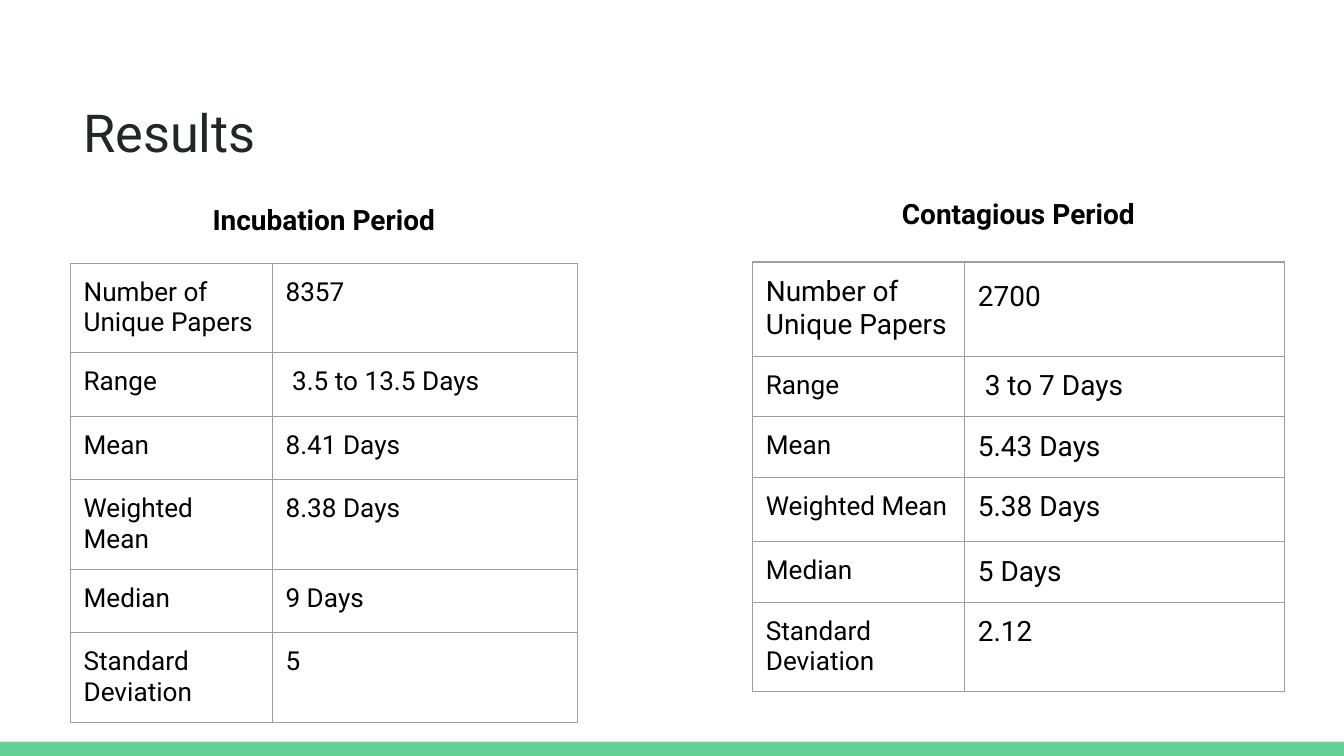
import pptx
import pptx.dml.color
import pptx.enum.shapes
import pptx.enum.text
import pptx.oxml
import pptx.oxml.ns
import pptx.util

Pt = pptx.util.Pt
RGBColor = pptx.dml.color.RGBColor
PP_ALIGN = pptx.enum.text.PP_ALIGN
MSO_ANCHOR = pptx.enum.text.MSO_ANCHOR

GREEN = RGBColor(0x63, 0xD2, 0x97)
INK = RGBColor(0x20, 0x27, 0x29)
BLACK = RGBColor(0x00, 0x00, 0x00)
GRID = RGBColor(0x9E, 0x9E, 0x9E)
FONT = "Roboto"
INSET = Pt(7.2)

LABELS = ["Number of Unique Papers", "Range", "Mean", "Weighted Mean",
          "Median", "Standard Deviation"]
INCUBATION = ["8357", " 3.5 to 13.5 Days", "8.41 Days", "8.38 Days", "9 Days", "5"]
CONTAGIOUS = ["2700", " 3 to 7 Days", "5.43 Days", "5.38 Days", "5 Days", "2.12"]


def set_attrs(obj, values):
    for name, value in values.items():
        setattr(obj, name, value)


def write(tf, text, size, color=BLACK, bold=False, **paragraph_format):
    p = tf.paragraphs[0]
    set_attrs(p, paragraph_format)
    r = p.add_run()
    r.text = text
    set_attrs(r.font, {"name": FONT, "size": Pt(size), "bold": bold})
    r.font.color.rgb = color


def add_text(s, box, text, size, anchor=MSO_ANCHOR.TOP, **text_format):
    tf = s.shapes.add_textbox(*map(Pt, box)).text_frame
    set_attrs(tf, {"word_wrap": True, "vertical_anchor": anchor,
                   "margin_left": INSET, "margin_right": INSET,
                   "margin_top": INSET, "margin_bottom": INSET})
    write(tf, text, size, **text_format)


def add_bar(s, box):
    sp = s.shapes.add_shape(pptx.enum.shapes.MSO_SHAPE.RECTANGLE, *map(Pt, box))
    sp.shadow.inherit = False
    sp.fill.solid()
    sp.fill.fore_color.rgb = GREEN
    sp.line.fill.background()


def set_borders(cell):
    tc_pr = cell._tc.get_or_add_tcPr()
    for i, side in enumerate(("lnL", "lnR", "lnT", "lnB")):
        tc_pr.insert(i, pptx.oxml.parse_xml(
            f'<a:{side} {pptx.oxml.ns.nsdecls("a")} w="{Pt(0.75)}">'
            f'<a:solidFill><a:srgbClr val="{GRID}"/></a:solidFill></a:{side}>'))


def add_stats_table(s, left, top, widths, heights, values, value_size, first_row):
    """first_row holds the text formats of the label and value in row one."""
    frame = s.shapes.add_table(len(LABELS), 2, Pt(left), Pt(top),
                               Pt(sum(widths)), Pt(sum(heights)))
    table = frame.table
    set_attrs(table, {"first_row": False, "horz_banding": False})
    for column, width in zip(table.columns, widths):
        column.width = Pt(width)
    for i, (row, height) in enumerate(zip(table.rows, heights)):
        row.height = Pt(height)
        texts = (LABELS[i], values[i])
        for cell, text, size, first in zip(row.cells, texts, (14, value_size), first_row):
            set_attrs(cell, {"margin_left": INSET, "margin_right": INSET,
                             "margin_top": INSET, "margin_bottom": INSET})
            cell.fill.background()
            set_borders(cell)
            text_format = {"size": size, **(first if i == 0 else {})}
            write(cell.text_frame, text, **text_format)


def main():
    prs = pptx.Presentation()
    set_attrs(prs, {"slide_width": Pt(720), "slide_height": Pt(405)})
    s = prs.slides.add_slide(prs.slide_layouts[6])

    # Footer bar and title
    add_bar(s, (0, 397.4, 720, 7.6))
    add_text(s, (37.6, 45.4, 497.5, 49.7), "Results", 28,
             anchor=MSO_ANCHOR.MIDDLE, color=INK)

    # Table headings
    heading = {"size": 15, "bold": True, "alignment": PP_ALIGN.CENTER,
               "line_spacing": 1.15}
    add_text(s, (94.3, 98.6, 158.4, 33), "Incubation Period", **heading)
    add_text(s, (458.6, 95.3, 174, 39), "Contagious Period", **heading)

    # Statistics tables
    add_stats_table(s, 37.6, 141, (108.2, 163.6), (47, 34, 34, 47, 34, 47),
                    INCUBATION, 14, ({}, {}))
    spaced = {"size": 15, "space_after": Pt(16)}
    add_stats_table(s, 403.1, 140.4, (113.6, 171.5), (49, 32, 32, 34.5, 32, 47),
                    CONTAGIOUS, 15, (spaced, {**spaced, "line_spacing": 1.15}))

    prs.save("out.pptx")


if __name__ == "__main__":
    main()
